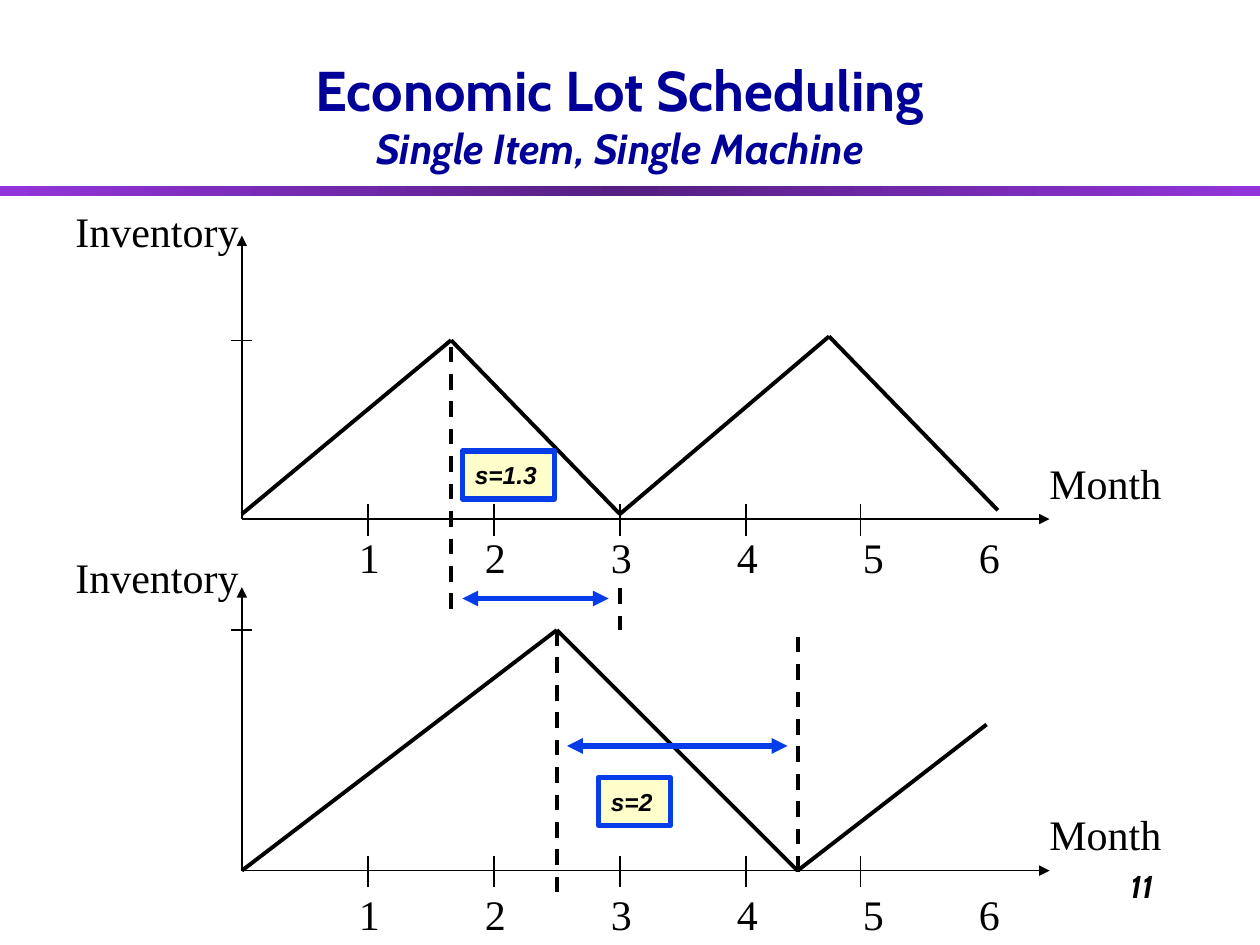
from copy import deepcopy
from dataclasses import dataclass

from lxml import etree
from pptx import Presentation
from pptx.dml.color import RGBColor
from pptx.enum.dml import MSO_LINE
from pptx.enum.shapes import MSO_CONNECTOR, MSO_SHAPE
from pptx.enum.text import MSO_ANCHOR, MSO_AUTO_SIZE, PP_ALIGN
from pptx.oxml.ns import qn
from pptx.util import Inches, Pt

STRAIGHT = MSO_CONNECTOR.STRAIGHT
RECTANGLE = MSO_SHAPE.RECTANGLE
DASH = MSO_LINE.DASH
FIT_SHAPE = MSO_AUTO_SIZE.SHAPE_TO_FIT_TEXT
LEFT, CENTER, RIGHT = PP_ALIGN.LEFT, PP_ALIGN.CENTER, PP_ALIGN.RIGHT
BOTTOM = MSO_ANCHOR.BOTTOM


@dataclass(frozen=True)
class Theme:
    black: str = "000000"
    navy: str = "000099"
    blue: str = "063DE8"
    cream: str = "FFFFCC"
    band: tuple = ("9234DB", "561F81", "9234DB")
    heading_font: str = "Cabin"
    axis_font: str = "Times New Roman"
    callout_font: str = "Arial"
    title_size: int = 32
    label_size: int = 24
    number_size: int = 18
    callout_size: int = 14
    thin: float = 0.75
    thick: float = 2.25
    span: float = 3


THEME = Theme()
ORIGIN_X = 1.92
AXIS_END_X = 8.33
TICKS_X = (2.92, 3.92, 4.92, 5.92, 6.83)
MONTH_TABS = (1, 2, 3, 4, 4.92)


def rgb(code):
    return RGBColor.from_string(code)


def style_font(font, name, size, color, bold=None, italic=None):
    font.name, font.size = name, Pt(size)
    font.bold, font.italic = bold, italic
    font.color.rgb = rgb(color)


def add_line(slide, start, end, width, color=THEME.black, dash=None, arrows=()):
    line = slide.shapes.add_connector(
        STRAIGHT, *(Inches(value) for value in (*start, *end)))
    line.line.width = Pt(width)
    line.line.color.rgb = rgb(color)
    if dash:
        line.line.dash_style = dash
    outline = line.line._get_or_add_ln()
    for arrow in arrows:
        etree.SubElement(outline, qn(f"a:{arrow}"), type="triangle")
    etree.SubElement(line._element.spPr, qn("a:effectLst"))


def add_label(slide, text, box, font=THEME.axis_font, size=THEME.label_size,
              wrap=False, align=LEFT, emphasis=None, tabs=()):
    label = slide.shapes.add_textbox(*(Inches(value) for value in box))
    frame = label.text_frame
    frame.word_wrap = wrap
    frame.auto_size = FIT_SHAPE
    paragraph = frame.paragraphs[0]
    paragraph.text = text
    paragraph.alignment = align
    if tabs:
        stops = etree.SubElement(
            paragraph._p.get_or_add_pPr(), qn("a:tabLst"))
        for position in tabs:
            etree.SubElement(stops, qn("a:tab"),
                             pos=str(Inches(position)), algn="l")
    style_font(paragraph.font, font, size, THEME.black, emphasis, emphasis)


def add_callout(slide, text, box):
    callout = slide.shapes.add_shape(RECTANGLE, *(Inches(v) for v in box))
    callout.shadow.inherit = False
    callout.fill.solid()
    callout.fill.fore_color.rgb = rgb(THEME.cream)
    callout.line.color.rgb = rgb(THEME.blue)
    callout.line.width = Pt(THEME.span)
    frame = callout.text_frame
    frame.word_wrap = False
    frame.auto_size = FIT_SHAPE
    paragraph = frame.paragraphs[0]
    paragraph.text = text
    paragraph.alignment = LEFT
    style_font(paragraph.font, THEME.callout_font, THEME.callout_size,
               THEME.black, True, True)


def add_band(slide):
    band = slide.shapes.add_shape(
        RECTANGLE, 0, Inches(1.48), Inches(10), Inches(0.08))
    band.shadow.inherit = False
    band.line.fill.background()
    band.fill.gradient()
    band.fill.gradient_angle = 0
    first = band.fill.gradient_stops[0]._gs
    first.addnext(deepcopy(first))
    for index, stop in enumerate(band.fill.gradient_stops):
        stop.position = index / 2
        stop.color.rgb = rgb(THEME.band[index])


def add_title(slide):
    title = slide.shapes.add_textbox(
        Inches(0.67), Inches(0.17), Inches(8.5), Inches(1.25))
    frame = title.text_frame
    frame.word_wrap = True
    frame.vertical_anchor = BOTTOM
    paragraph = frame.paragraphs[0]
    paragraph.alignment = CENTER
    style_font(paragraph.font, THEME.heading_font, THEME.title_size,
               THEME.navy, True)
    paragraph.add_run().text = "Economic Lot Scheduling"
    paragraph.add_line_break()
    subtitle = paragraph.add_run()
    subtitle.text = "Single Item, Single Machine"
    subtitle.font.size = Pt(THEME.label_size)
    subtitle.font.italic = True


def add_inventory_graph(slide, axis_y, top_y, peak_y, ticks_y, captions_y, levels):
    inventory_y, month_y, numbers_y = captions_y
    # Axes with ticks
    for end in ((AXIS_END_X, axis_y), (ORIGIN_X, top_y)):
        add_line(slide, (ORIGIN_X, axis_y), end, THEME.thin, arrows=("tailEnd",))
    add_line(slide, (1.83, peak_y), (2, peak_y), THEME.thin)
    for x in TICKS_X:
        add_line(slide, (x, ticks_y), (x, ticks_y + 0.25), THEME.thin)
    # Axis captions
    add_label(slide, "Inventory", (0.5, inventory_y, 1.5, 0.5))
    add_label(slide, "Month", (8.23, month_y, 1.09, 0.5))
    add_label(slide, "1\t2\t3\t4\t5\t6", (2.75, numbers_y, 5.75, 0.5),
              wrap=True, tabs=MONTH_TABS)
    # Inventory level over time
    for start, end in zip(levels, levels[1:]):
        add_line(slide, start, end, THEME.thick)


def add_span(slide, start_x, end_x, y):
    add_line(slide, (start_x, y), (end_x, y), THEME.span, THEME.blue,
             arrows=("headEnd", "tailEnd"))


def main():
    deck = Presentation()
    deck.slide_width, deck.slide_height = Inches(10), Inches(7.5)
    slide = deck.slides.add_slide(deck.slide_layouts[6])

    # Header and page number
    add_band(slide)
    add_label(slide, "11", (7.17, 6.83, 2.08, 0.5), THEME.heading_font,
              THEME.number_size, wrap=True, align=RIGHT, emphasis=True)
    add_title(slide)

    # Upper and lower graphs
    add_inventory_graph(
        slide, 4.12, 1.87, 2.7, 4, (1.58, 3.58, 4.17),
        [(1.92, 4.08), (3.58, 2.7), (4.92, 4.08), (6.58, 2.67), (7.92, 4.05)])
    add_inventory_graph(
        slide, 6.91, 4.66, 5, 6.79, (4.33, 6.37, 7),
        [(1.92, 6.91), (4.42, 5), (6.33, 6.91), (7.83, 5.75)])

    # Depletion periods
    for x, from_y, to_y in ((3.58, 2.75, 4.83), (4.92, 4.67, 5),
                            (4.42, 5, 7.08), (6.33, 6.92, 5)):
        add_line(slide, (x, from_y), (x, to_y), THEME.thick, dash=DASH)
    add_span(slide, 3.67, 4.83, 4.75)
    add_span(slide, 4.5, 6.25, 5.92)
    add_callout(slide, "s=1.3", (3.67, 3.58, 0.73, 0.38))
    add_callout(slide, "s=2", (4.75, 6.17, 0.57, 0.38))

    deck.save("out.pptx")


if __name__ == "__main__":
    main()
